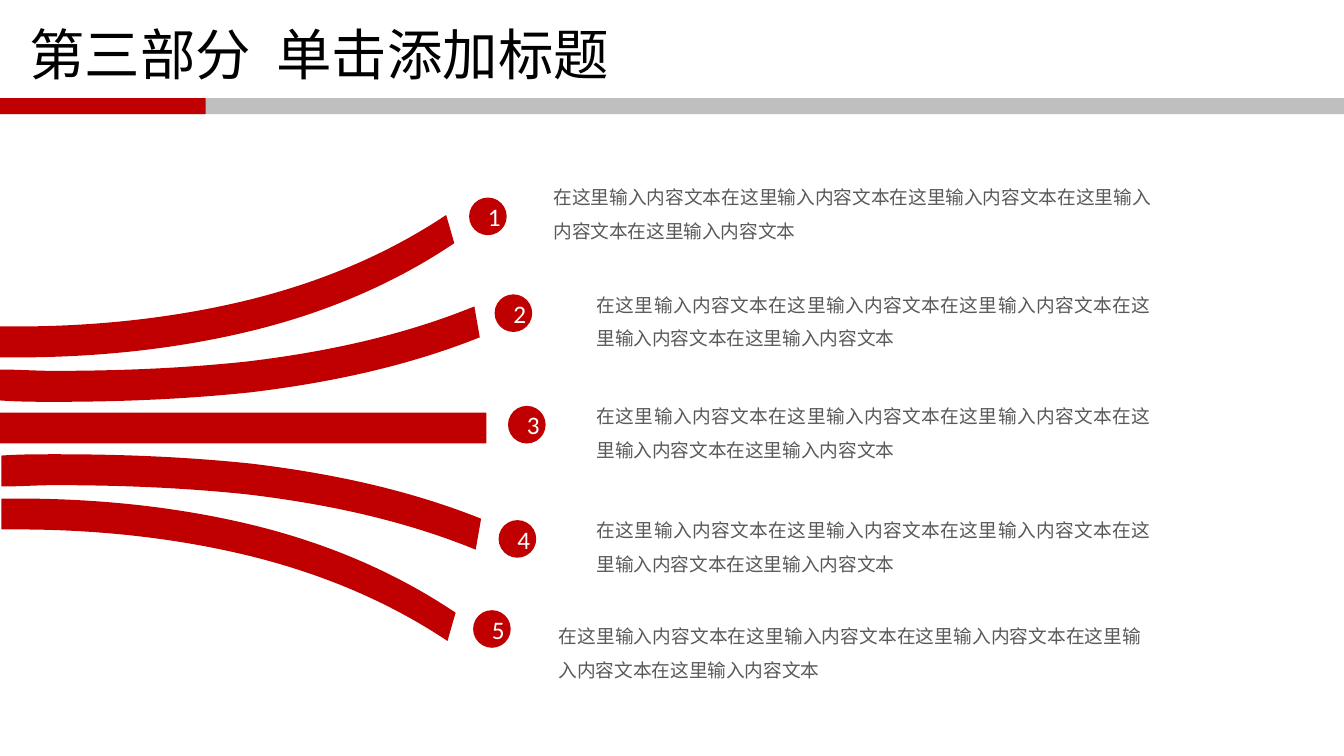
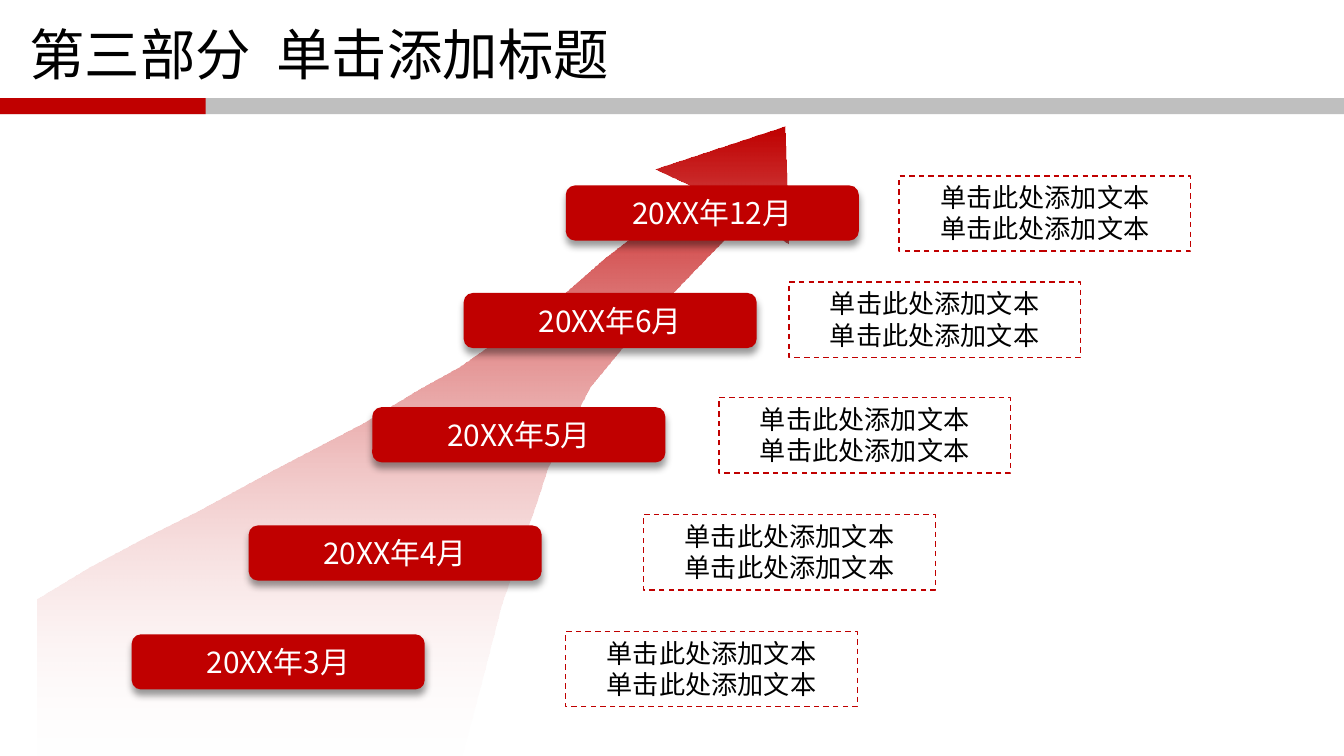
"""Build two section slides: five fanned ribbons and a rising timeline."""
from dataclasses import dataclass

from lxml.etree import SubElement
from pptx import Presentation
from pptx.dml.color import RGBColor
from pptx.enum.dml import MSO_LINE
from pptx.enum.shapes import MSO_SHAPE
from pptx.enum.text import MSO_ANCHOR, MSO_AUTO_SIZE, PP_ALIGN
from pptx.oxml.ns import qn
from pptx.util import Emu, Pt

PX = 9144
WIDTH = 1000


@dataclass(frozen=True)
class Theme:
    """Colours, fonts and type sizes of the deck."""
    red: str = "C00000"
    band: str = "BFBFBF"
    ink: str = "000000"
    muted: str = "595959"
    paper: str = "FFFFFF"
    latin: str = "Calibri"
    cjk: str = "Noto Sans CJK SC"
    title: float = 29.7
    step: float = 16
    caption: float = 14
    badge: float = 13.5
    body: float = 10


def px(*values):
    """Turn px lengths into EMU."""
    return [Emu(v * PX) for v in values]


def write(tf, text, *, size, color, font, align=None, spacing=None,
          anchor=MSO_ANCHOR.TOP, insets=None, grow=False, gap=None):
    """Fill a text frame, one paragraph a line, with an optional width in points added to spaces."""
    tf.word_wrap = True
    tf.vertical_anchor = anchor
    if grow:
        tf.auto_size = MSO_AUTO_SIZE.SHAPE_TO_FIT_TEXT
    if insets:
        tf.margin_left, tf.margin_top, tf.margin_right, tf.margin_bottom = px(*insets)
    for i, line in enumerate(text.split("\n")):
        p = tf.add_paragraph() if i else tf.paragraphs[0]
        p.alignment = align
        p.line_spacing = spacing
        for part in line.partition(" ") if gap else [line]:
            r = p.add_run()
            r.text = part
            r.font.size = Pt(size)
            r.font.name = font
            r.font.color.rgb = RGBColor.from_string(color)
            rpr = r.font._element
            SubElement(rpr, qn("a:ea"), typeface=Theme.cjk)
            if part == " ":
                rpr.set("spc", str(round(gap * 100)))


class Deck:
    """Hold the theme and the current slide, and draw each kind of element."""

    insets = (9, 4, 9, 4)

    def __init__(self, theme):
        self.theme = theme
        self.prs = Presentation()
        self.prs.slide_width = Emu(WIDTH * PX)
        self.prs.slide_height = Emu(WIDTH * PX * 9 // 16)
        self.s = None

    def slide(self, title):
        """Start a slide with its title and two-colour band."""
        t = self.theme
        self.s = self.prs.slides.add_slide(self.prs.slide_layouts[6])
        self.shape(MSO_SHAPE.RECTANGLE, (0, 73, WIDTH, 12), t.band)
        self.shape(MSO_SHAPE.RECTANGLE, (0, 73, 153, 12), t.red)
        self.text((12, 24, 900, 38), title, size=t.title, color=t.ink, font=t.latin,
                  spacing=0.9, anchor=MSO_ANCHOR.MIDDLE, gap=6.7)

    def paint(self, sp, fill=None, line=None):
        """Give a shape a flat fill and outline without a shadow."""
        sp.shadow.inherit = False
        if fill:
            sp.fill.solid()
            sp.fill.fore_color.rgb = RGBColor.from_string(fill)
        else:
            sp.fill.background()
        if line:
            sp.line.color.rgb = RGBColor.from_string(line)
            sp.line.width = Pt(0.75)
            sp.line.dash_style = MSO_LINE.DASH
        else:
            sp.line.fill.background()
        return sp

    def shape(self, kind, box, fill=None, line=None):
        """Add a preset shape."""
        return self.paint(self.s.shapes.add_shape(kind, *px(*box)), fill, line)

    def text(self, box, text, **fmt):
        """Add a text box."""
        write(self.s.shapes.add_textbox(*px(*box)).text_frame, text, **fmt)

    def body(self, box, text):
        """Add a justified block of running text."""
        t = self.theme
        self.text(box, text, size=t.body, color=t.muted, font=t.cjk,
                  align=PP_ALIGN.JUSTIFY, spacing=1.5, grow=True)

    def badge(self, x, y, number):
        """Add a numbered disc."""
        t = self.theme
        sp = self.shape(MSO_SHAPE.OVAL, (x, y, 28, 28), t.red)
        write(sp.text_frame, str(number), size=t.badge, color=t.paper, font=t.latin,
              align=PP_ALIGN.CENTER, anchor=MSO_ANCHOR.MIDDLE)

    def outline(self, points):
        """Add a closed freeform through the points."""
        fb = self.s.shapes.build_freeform(*points[0], scale=PX)
        fb.add_line_segments(points[1:], close=True)
        return self.paint(fb.convert_to_shape(), self.theme.red)

    def ribbon(self, upper, lower):
        """Add a band between two chains of cubic curves."""
        sp = self.outline(upper + lower)
        path = sp._element.find(".//" + qn("a:path"))
        lines = path.findall(qn("a:lnTo"))
        out = len(upper) - 1
        for chain in (lines[:out], lines[out + 1:out + len(lower)]):
            for i in range(0, len(chain), 3):
                curve = SubElement(path, qn("a:cubicBezTo"))
                chain[i].addprevious(curve)
                for ln in chain[i:i + 3]:
                    curve.append(ln[0])
                    path.remove(ln)

    def arrow(self, points):
        """Add an outline that fades downwards to clear."""
        sp = self.outline(points)
        sp.fill.gradient()
        sp.fill.gradient_angle = 270
        for stop, color in zip(sp.fill.gradient_stops, (self.theme.red, self.theme.paper)):
            stop.color.rgb = RGBColor.from_string(color)
        clear = sp._element.findall(".//" + qn("a:gs"))[-1][0]
        SubElement(clear, qn("a:alpha"), val="0")

    def step(self, x, y, text):
        """Add a rounded date plate with a soft shadow."""
        t = self.theme
        sp = self.shape(MSO_SHAPE.ROUNDED_RECTANGLE, (x, y, 218, 41), t.red)
        effects = sp._element.spPr.find(qn("a:effectLst"))
        shadow = SubElement(effects, qn("a:outerShdw"), blurRad=str(Pt(4)), dist=str(Pt(3)),
                            dir="5400000", algn="t", rotWithShape="0")
        color = SubElement(shadow, qn("a:srgbClr"), val=t.ink)
        SubElement(color, qn("a:alpha"), val="40000")
        write(sp.text_frame, text, size=t.step, color=t.paper, font=t.cjk,
              align=PP_ALIGN.CENTER, anchor=MSO_ANCHOR.MIDDLE, insets=self.insets)

    def caption(self, x, y, text):
        """Add a dashed caption box."""
        t = self.theme
        sp = self.shape(MSO_SHAPE.RECTANGLE, (x, y, 217, 56), line=t.red)
        write(sp.text_frame, text, size=t.caption, color=t.ink, font=t.cjk,
              align=PP_ALIGN.CENTER, insets=self.insets, grow=True)


TITLE = "第三部分 单击添加标题"
BODY = "在这里输入内容文本" * 5
CAPTION = "\n".join(["单击此处添加文本"] * 2)

RIBBONS = [
    ([(332, 160), (287, 190), (238, 210), (186, 223), (129, 237), (70, 243), (12, 243),
      (8, 243), (4, 243), (0, 243)],
     [(0, 266), (4, 266), (8, 266), (12, 266), (71, 266), (131, 260), (188, 246),
      (241, 233), (292, 212), (338, 181)]),
    ([(353, 228), (299, 250), (242, 262), (184, 269), (137, 274), (89, 276), (40, 276),
      (27, 276), (14, 275), (0, 275)],
     [(0, 298), (14, 299), (27, 299), (41, 299), (90, 299), (138, 297), (186, 292),
      (244, 285), (302, 273), (357, 251)]),
]
MIRROR = 637

BADGES = [(349, 147), (368, 219), (378, 302), (371, 387), (352, 454)]
BODIES = [(402, 125, 464), (434, 205, 432), (434, 288, 432), (434, 373, 432), (406, 452, 453)]

ARROW = [
    (28, 445), (66, 422), (106, 401), (149, 379), (203, 350), (270, 315), (313, 289),
    (342, 273), (382, 245), (418, 220), (450, 192), (476, 172), (515, 139), (487, 126),
    (584, 94), (587, 182), (556, 161), (518, 200), (472, 248), (439, 288), (424, 317),
    (408, 347), (399, 374), (390, 400), (373, 450), (361, 498), (351, 536), (339, 579),
    (28, 579),
]
STEPS = [
    (3, (98, 472), (421, 470)),
    (4, (185, 391), (479, 383)),
    (5, (277, 303), (535, 296)),
    (6, (345, 218), (587, 210)),
    (12, (421, 138), (669, 131)),
]


def mirrored(edge):
    """Flip an edge about the middle ribbon."""
    return [(x + 1, MIRROR - y) for x, y in edge]


def ribbons_slide(deck):
    """Draw the five ribbons with their numbers and texts."""
    deck.slide(TITLE)
    deck.shape(MSO_SHAPE.RECTANGLE, (0, 307, 362, 23), deck.theme.red)
    for upper, lower in RIBBONS:
        deck.ribbon(upper, lower)
        deck.ribbon(mirrored(upper), mirrored(lower))
    for number, (badge, (x, y, w)) in enumerate(zip(BADGES, BODIES), 1):
        deck.body((x, y, w, 58), BODY)
        deck.badge(*badge, number)


def timeline_slide(deck):
    """Draw the rising arrow with its dated steps."""
    deck.slide(TITLE)
    deck.arrow(ARROW)
    for month, plate, box in STEPS:
        deck.step(*plate, f"20XX年{month}月")
        deck.caption(*box, CAPTION)


def main():
    """Build and save the deck."""
    deck = Deck(Theme())
    ribbons_slide(deck)
    timeline_slide(deck)
    deck.prs.save("out.pptx")


if __name__ == "__main__":
    main()
